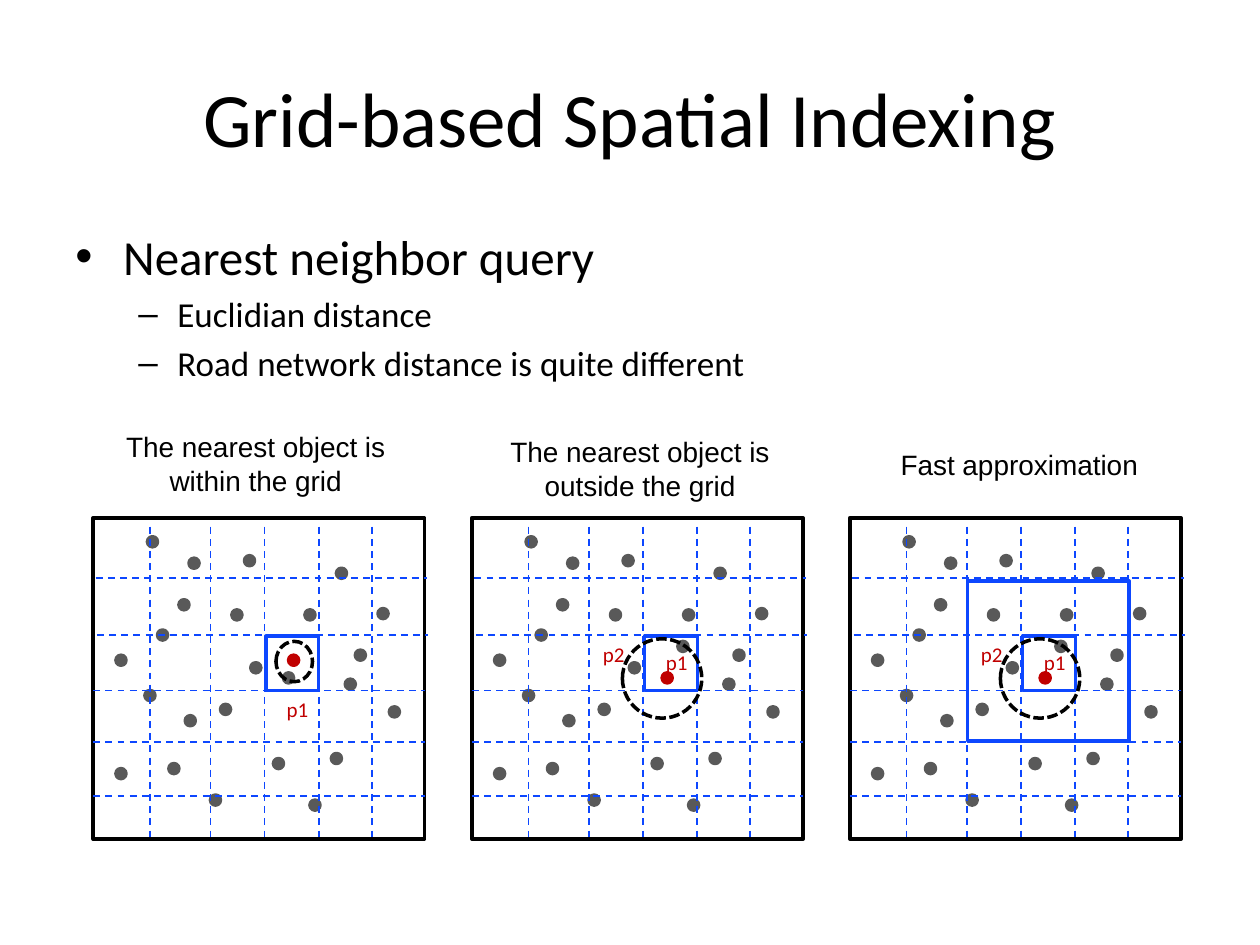
from lxml.etree import SubElement
from pptx import Presentation
from pptx.dml.color import RGBColor
from pptx.enum.dml import MSO_LINE_DASH_STYLE as Dash
from pptx.enum.shapes import MSO_CONNECTOR as Connector, MSO_SHAPE as Shape
from pptx.enum.text import MSO_ANCHOR as Anchor, MSO_AUTO_SIZE as Fit, PP_ALIGN as Align
from pptx.oxml.ns import qn
from pptx.util import Inches, Pt

BLACK, GRAY, RED, BLUE = "000000", "595959", "C00000", "0D47FF"
COLUMNS, ROWS = 100, 75
DOT = 0.8
PANEL_TOP, PANEL_WIDTH, PANEL_HEIGHT = 41.1, 26.3, 25.5
PANEL_LEFTS = (7.4, 37.45, 67.45)

OBJECTS = [
    (1.8, 19.9), (17.2, 22.4), (4.3, 1.5), (10.1, 14.8), (7.3, 15.7), (6.8, 6.5),
    (20.8, 10.5), (11, 7.3), (6, 19.5), (12.5, 11.5), (4.1, 13.7), (7.6, 3.2),
    (12, 3), (1.8, 10.9), (18.9, 18.7), (16.8, 7.3), (14.3, 19.1), (23.5, 15),
    (22.6, 7.2), (20, 12.8), (19.3, 4), (5.1, 8.9), (9.3, 22),
]
CENTER_OBJECT = (15.1, 12.3)
GRID_ROWS = [(0.2, 4.8), (0.3, 9.3), (0, 13.7), (0, 17.8), (0, 22.1)]
GRID_COLUMNS = [4.5, 9.3, 13.6, 17.9, 22.1]
QUERY_CELL = (13.7, 9.4, 4.2, 4.3)


def color(code):
    return RGBColor.from_string(code)


class Board:
    """Draws styled elements on one slide, measured in columns and rows."""

    def __init__(self, deck):
        self.page = deck.slides.add_slide(deck.slide_layouts[6])
        self.column = deck.slide_width / COLUMNS
        self.row = deck.slide_height / ROWS
        self.left = self.top = 0

    def move_to(self, left, top):
        self.left, self.top = left, top

    def place(self, x, y):
        return round((self.left + x) * self.column), round((self.top + y) * self.row)

    def frame(self, x, y, width, height):
        return *self.place(x, y), round(width * self.column), round(height * self.row)

    def shape(self, kind, area, line, fill=None, dash=None):
        shape = self.page.shapes.add_shape(kind, *self.frame(*area))
        shape.shadow.inherit = False
        if fill:
            shape.fill.solid()
            shape.fill.fore_color.rgb = color(fill)
        else:
            shape.fill.background()
        shape.line.color.rgb = color(line)
        shape.line.width = Pt(2)
        if dash:
            shape.line.dash_style = dash

    def dot(self, x, y, fill=GRAY):
        self.shape(Shape.OVAL, (x, y, DOT, DOT), fill, fill)

    def ring(self, *area):
        self.shape(Shape.OVAL, area, BLACK, dash=Dash.SQUARE_DOT)

    def box(self, *area, line=BLUE):
        self.shape(Shape.RECTANGLE, area, line)

    def grid_line(self, start, end):
        line = self.page.shapes.add_connector(
            Connector.STRAIGHT, *self.place(*start), *self.place(*end))
        line.line.color.rgb = color(BLUE)
        line.line.width = Pt(1)
        line.line.dash_style = Dash.DASH
        SubElement(line._element.spPr, qn("a:effectLst"))

    def text_frame(self, area, wrap=True, fit=Fit.NONE, anchor=Anchor.TOP):
        frame = self.page.shapes.add_textbox(*self.frame(*area)).text_frame
        frame.word_wrap, frame.auto_size, frame.vertical_anchor = wrap, fit, anchor
        return frame

    def span(self, para, text, size, font="Calibri", ink=BLACK):
        span = para.add_run()
        span.text = text
        span.font.size, span.font.name = Pt(size), font
        span.font.color.rgb = color(ink)

    def centered(self, frame, text, size, **style):
        para = frame.paragraphs[0]
        para.alignment = Align.CENTER
        self.span(para, text, size, **style)

    def title(self, area, text):
        self.centered(self.text_frame(area, anchor=Anchor.MIDDLE), text, 44)

    def caption(self, area, text):
        self.centered(self.text_frame(area, fit=Fit.SHAPE_TO_FIT_TEXT), text, 16, font="Arial")

    def label(self, x, y, text):
        frame = self.text_frame((x, y, 3.8, 3), wrap=False, fit=Fit.SHAPE_TO_FIT_TEXT)
        self.centered(frame, text, 12, ink=RED)

    def bullets(self, area, items):
        frame = self.text_frame(area)
        for index, (level, text) in enumerate(items):
            para = frame.add_paragraph() if index else frame.paragraphs[0]
            margin, hang, size, mark = [(0.38, 0.38, 28, "•"), (0.81, 0.31, 20, "–")][level]
            para.level = level
            para.space_before = Pt(size * 0.2)
            settings = para._p.get_or_add_pPr()
            settings.set("marL", str(Inches(margin)))
            settings.set("indent", str(-Inches(hang)))
            SubElement(settings, qn("a:buFont"), typeface="Arial")
            SubElement(settings, qn("a:buChar"), char=mark)
            self.span(para, text, size)

    def panel(self, left):
        self.move_to(left, PANEL_TOP)
        for spot in OBJECTS:
            self.dot(*spot)
        self.box(0, 0, PANEL_WIDTH, PANEL_HEIGHT, line=BLACK)
        for x, y in GRID_ROWS:
            self.grid_line((x, y), (x + PANEL_WIDTH, y))
        for x in GRID_COLUMNS:
            self.grid_line((x, 0.7), (x, PANEL_HEIGHT))
        self.box(*QUERY_CELL)

    def inside_case(self):
        self.dot(*CENTER_OBJECT)
        self.dot(15.5, 10.9, RED)
        self.ring(14.5, 9.8, 2.9, 3.2)
        self.label(14.3, 13.7, "p1")

    def outside_case(self):
        self.dot(*CENTER_OBJECT, RED)
        self.dot(16.35, 9.8)
        self.ring(11.95, 9.6, 6.3, 6.3)
        self.label(14.35, 10, "p1")
        self.label(9.35, 9.3, "p2")

    def approximate_case(self):
        self.box(9.35, 5, 12.8, 12.7)
        self.outside_case()


def main():
    deck = Presentation()
    deck.slide_width, deck.slide_height = Inches(10), Inches(7.5)
    board = Board(deck)
    board.title((5, 3, 90, 12.5), "Grid-based Spatial Indexing")
    board.bullets((5, 17.5, 90, 13.3), [
        (0, "Nearest neighbor query"),
        (1, "Euclidian distance"),
        (1, "Road network distance is quite different"),
    ])
    board.caption((8.5, 33.6, 23.6, 6.4), "The nearest object is within the grid")
    board.caption((39, 34, 23.6, 6.4), "The nearest object is outside the grid")
    board.caption((69.1, 35, 23.6, 3.7), "Fast approximation")
    cases = (board.inside_case, board.outside_case, board.approximate_case)
    for left, draw_case in zip(PANEL_LEFTS, cases):
        board.panel(left)
        draw_case()
    deck.save("out.pptx")


if __name__ == "__main__":
    main()
